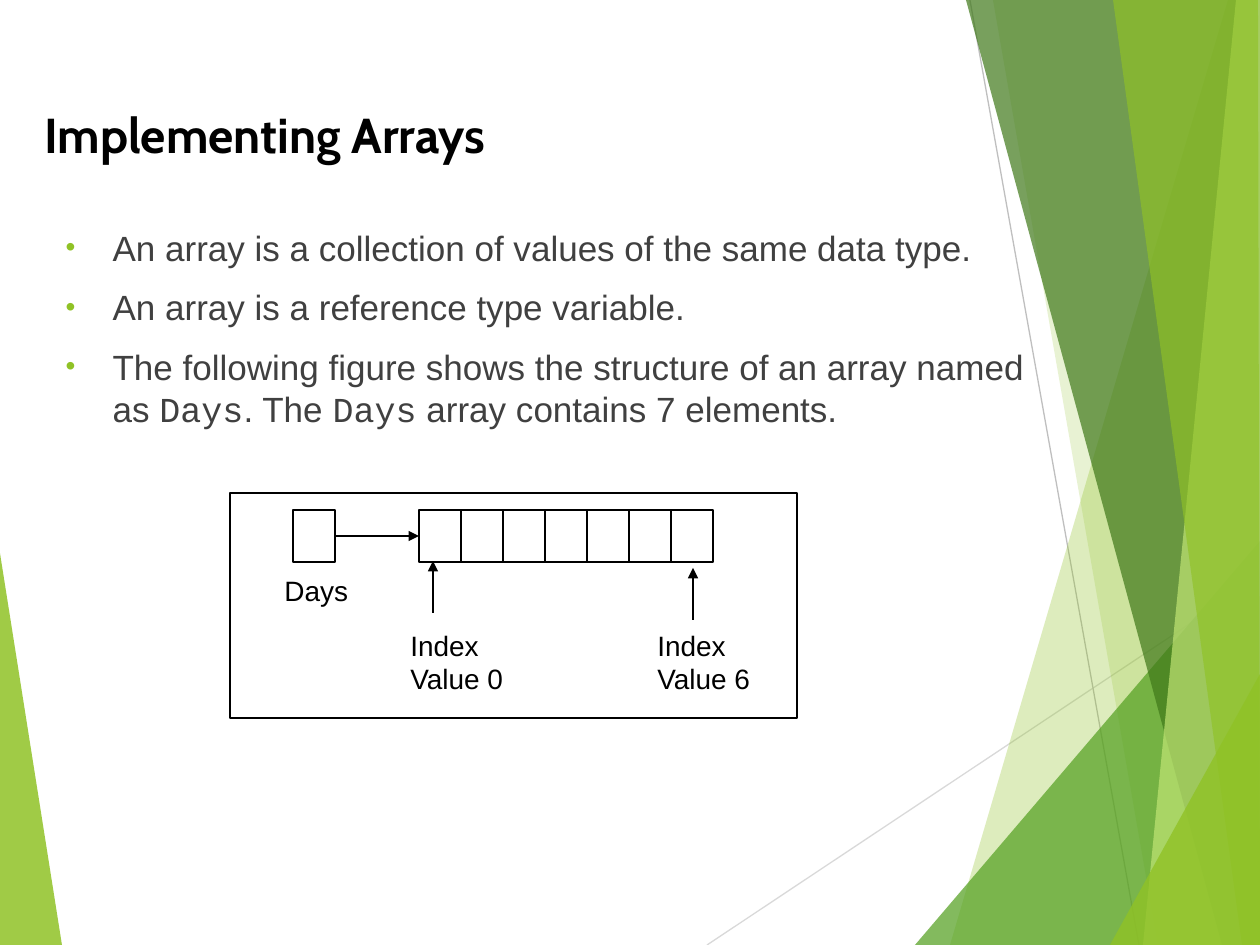
from pptx import Presentation
from pptx import util as u
from pptx.dml.color import RGBColor
from pptx.enum import shapes, text
from pptx.oxml import parse_xml
from pptx.oxml.ns import qn, nsdecls
from lxml import etree

PX = 914400 / 126
TITLE = "Implementing Arrays"
BODY = [
    [("An array is a collection of values of the same data type.", "Arial")],
    [("An array is a reference type variable.", "Arial")],
    [("The following figure shows the structure of an array named as ", "Arial"),
     ("Days", "Courier New"), (". The ", "Arial"), ("Days", "Courier New"),
     (" array contains 7 elements.", "Arial")],
]
RAYS = [((707, 945), (1260, 577), "D9D9D9"), ((970, 0), (1139, 945), "BFBFBF")]
EDGE = [(0, 553), (62, 945), (0, 945)]
FACETS = [
    ([(1228, 0), (950, 945), (1260, 945), (1260, 0)], "90C226", 30),
    ([(993, 0), (1158, 945), (1260, 945), (1260, 0)], "90C226", 20),
    ([(915, 945), (1260, 541), (1260, 945)], "54A021", 72),
    ([(966, 0), (1222, 945), (1260, 945), (1260, 0)], "3F7819", 70),
    ([(1236, 0), (1143, 945), (1260, 945), (1260, 0)], "C0E474", 70),
    ([(1113, 0), (1242, 945), (1260, 945), (1258, 0)], "90C226", 65),
    ([(1110, 945), (1260, 674), (1260, 945)], "90C226", 80),
]
FRAME = (230, 493, 567, 225)
CELL, COUNT, HIGH = 42, 7, 52
LEFT, TOP = 419, 510
LABELS = [
    ((272, 567, 105, 94), ["Days"]),
    ((398, 622, 210, 81), ["Index", "Value 0"]),
    ((645, 622, 131, 81), ["Index", "Value 6"]),
]
ARROWS = [((433, 613), (433, 561)), ((693, 620), (693, 568))]


def px(*vals):
    return [u.Emu(round(v * PX)) for v in vals]


def rgb(code):
    return RGBColor.from_string(code)


def style(font, size, code, face):
    font.size, font.name = u.Pt(size), face
    font.color.rgb = rgb(code)


def facet(slide, pts, code, alpha):
    pen = slide.shapes.build_freeform(*pts[0], scale=PX)
    pen.add_line_segments(pts[1:], close=True)
    shape = pen.convert_to_shape()
    shape.shadow.inherit = False
    shape.fill.solid()
    shape.fill.fore_color.rgb = rgb(code)
    shape.line.fill.background()
    tint = next(shape.element.iter(qn("a:srgbClr")))
    etree.SubElement(tint, qn("a:alpha")).set("val", str(alpha * 1000))


def line(slide, start, end, code="000000", arrow=False):
    link = slide.shapes.add_connector(
        shapes.MSO_CONNECTOR.STRAIGHT, *px(*start, *end))
    link.line.color.rgb = rgb(code)
    link.line.width = u.Pt(0.75)
    if arrow:
        tip = etree.SubElement(link.line._get_or_add_ln(), qn("a:tailEnd"))
        tip.set("type", "triangle")
    etree.SubElement(link.element.spPr, qn("a:effectLst"))
    return link


def rect(slide, box, edge=True):
    shape = slide.shapes.add_shape(shapes.MSO_SHAPE.RECTANGLE, *px(*box))
    shape.shadow.inherit = False
    shape.fill.solid()
    shape.fill.fore_color.rgb = rgb("FFFFFF")
    if edge:
        shape.line.color.rgb = rgb("000000")
        shape.line.width = u.Pt(0.75)
    else:
        shape.line.fill.background()
    return shape


def label(slide, box, rows):
    frame = rect(slide, box, False).text_frame
    frame.vertical_anchor = text.MSO_ANCHOR.TOP
    frame.text = "\n".join(rows)
    for para in frame.paragraphs:
        para.alignment = text.PP_ALIGN.LEFT
        style(para.font, 16, "000000", "Arial")


def place(slide, shape, box):
    slide.shapes.element.append(shape.element)
    shape.left, shape.top, shape.width, shape.height = px(*box)
    frame = shape.text_frame
    frame.word_wrap, frame.auto_size = True, text.MSO_AUTO_SIZE.NONE
    return frame


def head(slide):
    frame = place(slide, slide.shapes.title, (32, 98, 1070, 72))
    frame.vertical_anchor = text.MSO_ANCHOR.MIDDLE
    frame.text = TITLE
    para = frame.paragraphs[0]
    para.alignment = text.PP_ALIGN.LEFT
    style(para.font, 28, "000000", "Cabin")
    para.font.bold = True


def body(slide):
    frame = place(slide, slide.placeholders[1], (53, 220, 1008, 630))
    frame.vertical_anchor = text.MSO_ANCHOR.TOP
    for i, parts in enumerate(BODY):
        para = frame.add_paragraph() if i else frame.paragraphs[0]
        para.space_before = u.Pt(10)
        props = para._p.get_or_add_pPr()
        props.set("marL", str(px(47)[0]))
        props.set("indent", str(px(-47)[0]))
        for mark in ('buClr %s><a:srgbClr val="90C226"/></a:buClr>',
                     'buSzPct %s val="80000"/>',
                     'buFont %s typeface="Arial"/>',
                     'buChar %s char="•"/>'):
            props.append(parse_xml("<a:" + mark % nsdecls("a")))
        style(para.font, 20, "404040", "Arial")
        for words, face in parts:
            run = para.add_run()
            run.text = words
            if face != "Arial":
                run.font.name = face


def figure(slide):
    rect(slide, FRAME)
    name = rect(slide, (LEFT - 3 * CELL, TOP, CELL, HIGH))
    row = rect(slide, (LEFT, TOP, CELL * COUNT, HIGH))
    for i in range(1, COUNT):
        x = LEFT + i * CELL
        line(slide, (x, TOP), (x, TOP + HIGH))
    for box, rows in LABELS:
        label(slide, box, rows)
    mid = TOP + HIGH // 2
    link = line(slide, (LEFT - 2 * CELL, mid), (LEFT, mid), arrow=True)
    link.begin_connect(name, 3)
    link.end_connect(row, 1)
    for start, end in ARROWS:
        line(slide, start, end, arrow=True)


def main():
    """Build the slide on arrays and save it."""
    deck = Presentation()
    deck.slide_width, deck.slide_height = px(1260, 945)
    slide = deck.slides.add_slide(deck.slide_layouts[1])
    facet(slide, EDGE, "90C226", 85)
    for ray in RAYS:
        line(slide, *ray)
    for item in FACETS:
        facet(slide, *item)
    head(slide)
    body(slide)
    figure(slide)
    deck.save("out.pptx")


if __name__ == "__main__":
    main()
